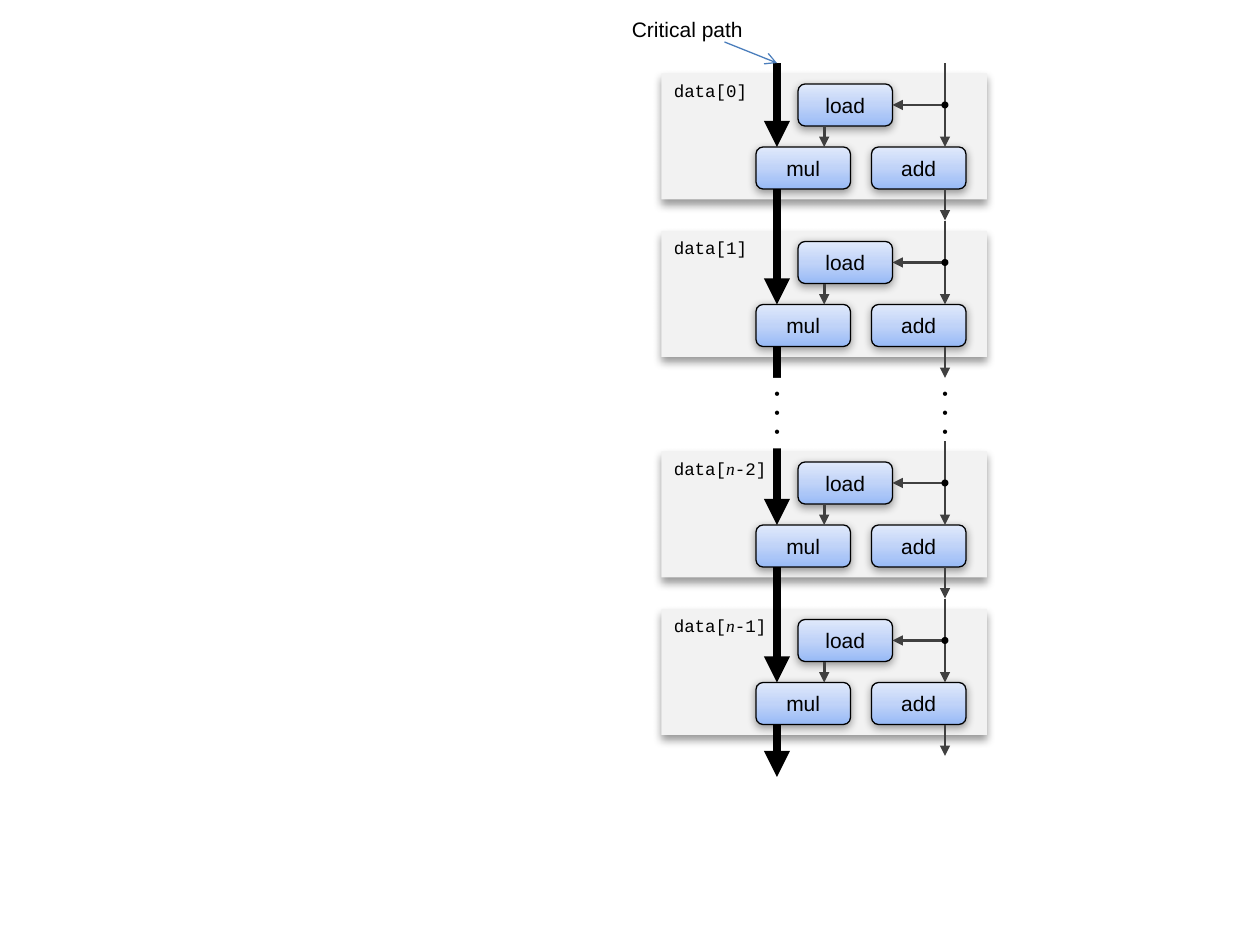
from copy import deepcopy

from lxml.etree import SubElement as Sub
from pptx import Presentation
from pptx.dml.color import RGBColor
from pptx.enum.shapes import MSO_CONNECTOR as Conn, MSO_SHAPE as Kind
from pptx.enum.text import MSO_ANCHOR as Anchor, PP_ALIGN as Align
from pptx.oxml.ns import qn
from pptx.util import Pt

PANEL_W, PANEL_H = 186, 72
NODE_W, NODE_H = 54, 24
LOAD, MUL, ADD = (78, 6), (54, 42), (120, 42)
MAIN, SIDE = 66, 162  # x of the two lanes inside a panel
GRAD = [(0, "98BAF6"), (0.5, "C0D3F8"), (1, "E0E9FB")]
MONO = {"name": "Courier New", "size": Pt(10)}
ITALIC = {"name": "Times New Roman", "size": Pt(10), "italic": True}
SANS = {"name": "Arial", "size": Pt(12)}
SMALL = {"name": "Arial", "size": Pt(9)}


def rgb(code):
    return RGBColor.from_string(code)


def write(para, runs):
    for text, style in runs:
        run = para.add_run()
        run.text = text
        run.font.color.rgb = rgb("000000")
        for key, val in style.items():
            setattr(run.font, key, val)


def shade(shape, alpha, dist):
    """Soft shadow straight below the shape."""
    box = shape._element.spPr.find(qn("a:effectLst"))
    cast = Sub(box, qn("a:outerShdw"), blurRad=str(Pt(5)), dist=str(Pt(dist)),
               dir="5400000", algn="t", rotWithShape="0")
    tint = Sub(cast, qn("a:srgbClr"), val="000000")
    Sub(tint, qn("a:alpha"), val=str(alpha * 1000))


def block(slide, kind, x, y, w, h, fill):
    shape = slide.shapes.add_shape(kind, Pt(x), Pt(y), Pt(w), Pt(h))
    shape.shadow.inherit = False
    shape.fill.solid()
    shape.fill.fore_color.rgb = rgb(fill)
    shape.line.fill.background()
    return shape


def arrow(slide, x1, y1, x2, y2, color="404040", width=1.5, head="triangle"):
    line = slide.shapes.add_connector(Conn.STRAIGHT, Pt(x1), Pt(y1), Pt(x2), Pt(y2))
    line.line.color.rgb = rgb(color)
    line.line.width = Pt(width)
    Sub(line.line._get_or_add_ln(), qn("a:tailEnd"), type=head)
    Sub(line._element.spPr, qn("a:effectLst"))
    return line


def node(slide, x, y, text):
    shape = block(slide, Kind.ROUNDED_RECTANGLE, x, y, NODE_W, NODE_H, "FFFFFF")
    # Three-stop gradient, dark at the foot
    fill = shape.fill
    fill.gradient()
    fill.gradient_angle = 90
    stops = shape._element.spPr.find(qn("a:gradFill")).find(qn("a:gsLst"))
    stops.append(deepcopy(stops[0]))
    for stop, (pos, color) in zip(fill.gradient_stops, GRAD):
        stop.position = pos
        stop.color.rgb = rgb(color)
    shape.line.color.rgb = rgb("000000")
    shape.line.width = Pt(0.75)
    shade(shape, 38, 1.6)
    frame = shape.text_frame
    frame.vertical_anchor = Anchor.MIDDLE
    frame.paragraphs[0].alignment = Align.CENTER
    write(frame.paragraphs[0], [(text, SANS)])
    return shape


def panel(slide, x, y, label):
    """One loop step: its operations and the side lane."""
    back = block(slide, Kind.RECTANGLE, x, y, PANEL_W, PANEL_H, "F2F2F2")
    shade(back, 40, 3)
    back.text_frame.vertical_anchor = Anchor.TOP
    back.text_frame.paragraphs[0].alignment = Align.LEFT
    write(back.text_frame.paragraphs[0], label)

    load, _, _ = [node(slide, x + dx, y + dy, text) for text, (dx, dy) in
                  (("load", LOAD), ("mul", MUL), ("add", ADD))]

    # Side lane with its branch to load
    lane, mid = x + SIDE, y + LOAD[1] + NODE_H / 2
    foot = y + MUL[1] + NODE_H
    branch = arrow(slide, lane, mid, x + LOAD[0] + NODE_W, mid)
    branch.end_connect(load, 3)
    arrow(slide, lane, y - 6, lane, y + ADD[1])
    arrow(slide, lane, foot, lane, foot + 18)
    block(slide, Kind.OVAL, lane - 2, mid - 2, 4, 4, "000000")

    # load feeds mul
    drop = x + (LOAD[0] + MUL[0] + NODE_W) / 2
    arrow(slide, drop, y + LOAD[1] + NODE_H, drop, y + MUL[1])


def dots(shape):
    """Three centred bullets, one above the other."""
    frame = shape.text_frame
    frame.word_wrap = True
    frame.vertical_anchor = Anchor.TOP
    for i in range(3):
        para = frame.paragraphs[0] if i == 0 else frame.add_paragraph()
        para.alignment = Align.CENTER
        write(para, [("•", SMALL)])


def spine(slide, x, tops):
    """Thick critical path through every mul."""
    starts = [tops[0] - 6] + [top + MUL[1] + NODE_H for top in tops]
    ends = [top + MUL[1] for top in tops] + [tops[-1] + 96]
    for start, end in zip(starts, ends):
        arrow(slide, x, start, x, end, "000000", 5)


def caption(slide, x, y):
    arrow(slide, x + 60, y + 18, x + 90, y + 30, "4B7EBC", 0.75, "arrow")
    box = slide.shapes.add_textbox(Pt(x), Pt(y), Pt(78.5), Pt(21.8))
    box.text_frame.word_wrap = False
    write(box.text_frame.paragraphs[0], [("Critical path", SANS)])


def main():
    prs = Presentation()
    prs.slide_width, prs.slide_height = Pt(720), Pt(540)
    slide = prs.slides.add_slide(prs.slide_layouts[6])
    left, tops = 378, [42, 132, 258, 348]

    # Loop steps
    labels = [[(f"data[{i}]", MONO)] for i in (0, 1)]
    labels += [[("data[", MONO), ("n", ITALIC), (f"-{i}]", MONO)] for i in (2, 1)]
    for top, label in zip(tops, labels):
        panel(slide, left, top, label)

    # Critical path, then the gap of skipped steps
    spine(slide, left + MAIN, tops)
    gap = (216, 24, 40.3)
    dots(block(slide, Kind.RECTANGLE, left + MAIN - 12, *gap, "FFFFFF"))
    dots(slide.shapes.add_textbox(
        *[Pt(v) for v in (left + SIDE - 12, *gap)]))

    caption(slide, 354, 6)
    prs.save("out.pptx")


if __name__ == "__main__":
    main()
